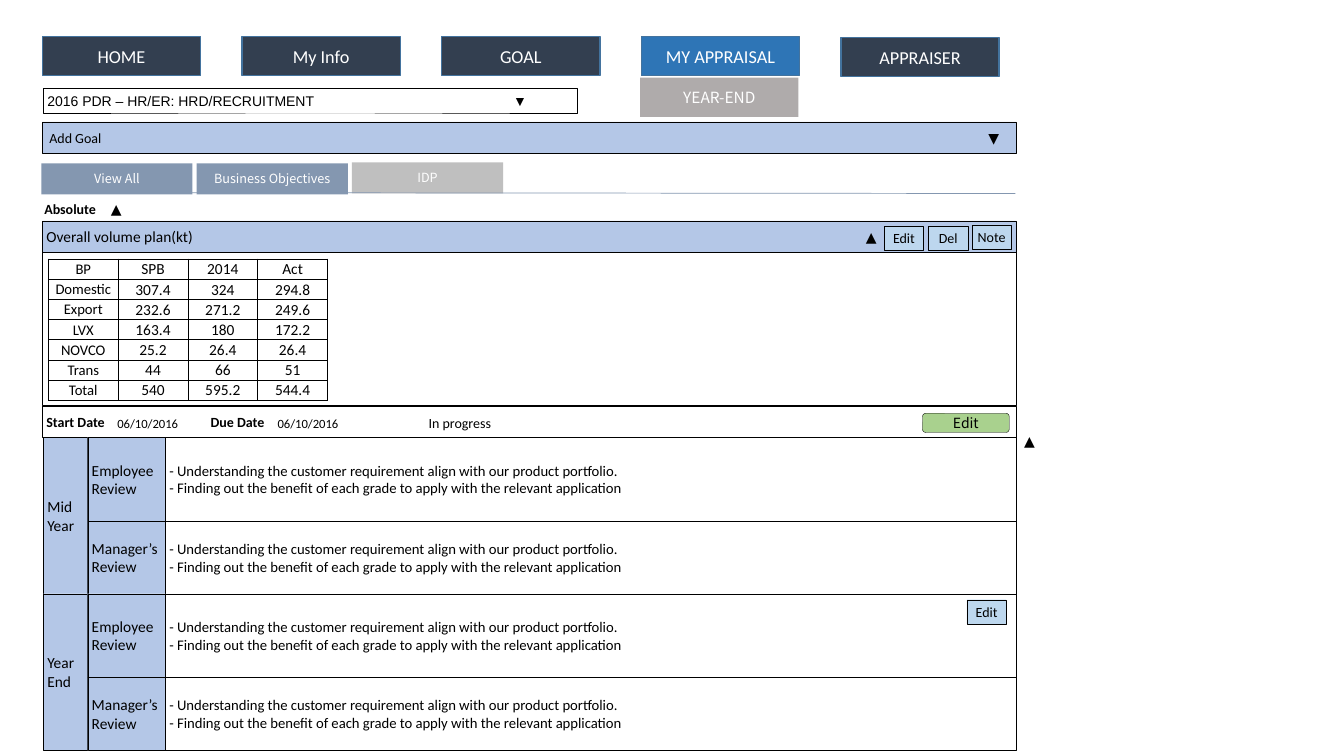
from lxml import etree
from pptx import Presentation
from pptx.dml.color import RGBColor
from pptx.enum import shapes, text
from pptx.oxml import ns
from pptx.util import Inches, Pt

COLORS = dict(navy="333F50", blue="2E75B6", edge="43739E", gray="AFABAB", pale="B4C7E7",
              sky="BDD7EE", green="A9D18E", slate="8497B0", silver="BFBFBF",
              black="000000", white="FFFFFF")
NOTO = "Noto Sans CJK KR"

NAV = ["HOME", "My Info", "GOAL", "MY APPRAISAL", "APPRAISER"]
ACTIVE = "MY APPRAISAL"
TABS = [("View All", "slate", 1.62), ("Business Objectives", "slate", 1.62), ("IDP", "silver", 1.61)]
VOLUMES = [
    ("BP", "SPB", "2014", "Act"),
    ("Domestic", "307.4", "324", "294.8"),
    ("Export", "232.6", "271.2", "249.6"),
    ("LVX", "163.4", "180", "172.2"),
    ("NOVCO", "25.2", "26.4", "26.4"),
    ("Trans", "44", "66", "51"),
    ("Total", "540", "595.2", "544.4"),
]
BUTTONS = [("Edit", 8.77, 2.24), ("Del", 9.21, 2.24), ("Note", 9.64, 2.23), ("Edit", 9.59, 5.95)]
DATES = [("06/10/2016", 1.09), ("06/10/2016", 2.68)]
ARROWS = [("▼", 9.855, 1.23), ("▲", 8.64, 2.22), ("▲", 10.21, 4.24)]
PERIODS = ["Mid\nYear", "Year\nEnd"]
REVIEWS = [("Employee\nReview", 0.83), ("Manager’s\nReview", 0.72)]
COMMENTS = [
    "- Understanding the customer requirement align with our product portfolio.",
    "- Finding out the benefit of each grade to apply with the relevant application",
]

LEFT, WIDTH, BAR = 0.42, 9.66, 0.31
REVIEW_TOP = 4.34
CENTER, START = text.PP_ALIGN.CENTER, text.PP_ALIGN.LEFT

prs = Presentation()
prs.slide_width, prs.slide_height = Inches(13.33), Inches(7.5)
s = prs.slides.add_slide(prs.slide_layouts[6])


def rgb(name):
    return RGBColor.from_string(COLORS[name])


def write(p, words, align=START, tab=None, **font):
    p.alignment = align
    if tab:
        tabs = etree.SubElement(p._p.get_or_add_pPr(), ns.qn("a:tabLst"))
        etree.SubElement(tabs, ns.qn("a:tab"), pos=str(Inches(tab)), algn="l")
    p.text = words
    color = font.pop("color", "black")
    for r in p.runs:
        r.font.color.rgb = rgb(color)
        for key, value in {"name": "Calibri", "size": Pt(10), **font}.items():
            setattr(r.font, key, value)


def fill_frame(tf, lines, inset=0.04, wrap=True, **style):
    tf.word_wrap = wrap
    tf.vertical_anchor = text.MSO_ANCHOR.MIDDLE
    for side in ("left", "right", "top", "bottom"):
        setattr(tf, f"margin_{side}", Inches(inset))
    for i, line in enumerate(lines):
        write(tf.add_paragraph() if i else tf.paragraphs[0], line, **style)


def box(x, y, w, h, *lines, fill=None, line="black", weight=0.25,
        kind=shapes.MSO_SHAPE.RECTANGLE, **style):
    sp = s.shapes.add_shape(kind, *map(Inches, (x, y, w, h)))
    sp.shadow.inherit = False
    if fill:
        sp.fill.solid()
        sp.fill.fore_color.rgb = rgb(fill)
    else:
        sp.fill.background()
    if line:
        sp.line.color.rgb = rgb(line)
        sp.line.width = Pt(weight)
    else:
        sp.line.fill.background()
    fill_frame(sp.text_frame, lines, **style)
    return sp


def label(x, y, w, h, words, **style):
    sp = s.shapes.add_textbox(*map(Inches, (x, y, w, h)))
    fill_frame(sp.text_frame, [words], **style)


def outline(cell):
    """Give a table cell thin black borders on all sides."""
    tcPr = cell._tc.get_or_add_tcPr()
    for i, side in enumerate(("lnL", "lnR", "lnT", "lnB")):
        ln = etree.Element(ns.qn(f"a:{side}"), w=str(Pt(0.5)))
        paint = etree.SubElement(ln, ns.qn("a:solidFill"))
        etree.SubElement(paint, ns.qn("a:srgbClr"), val=COLORS["black"])
        tcPr.insert(i, ln)


# Navigation and goal bars
for i, name in enumerate(NAV):
    box(LEFT + 1.98 * i, 0.37 if name == "APPRAISER" else 0.36, 1.57, 0.39, name,
        fill="blue" if name == ACTIVE else "navy", line="edge", weight=1,
        align=CENTER, color="white", size=Pt(13))
box(6.35, 0.77, 1.57, 0.39, "YEAR-END", fill="gray", line=None,
    align=CENTER, color="white", size=Pt(11), name=NOTO)
box(0.43, 0.88, 5.29, 0.24, "2016 PDR – HR/ER: HRD/RECRUITMENT\t▼", tab=4.62, name="Arial")
add_goal = box(LEFT, 1.21, WIDTH, BAR, "Add Goal", fill="pale")
add_goal.text_frame.margin_left = Inches(0.07)

# Tabs
for i, (name, fill, y) in enumerate(TABS):
    box(0.41 + 1.54 * i, y, 1.5, BAR, name, fill=fill, line=None,
        align=CENTER, color="white", size=Pt(9), name=NOTO)
rule = s.shapes.add_connector(shapes.MSO_CONNECTOR.STRAIGHT,
                              *map(Inches, (LEFT, 1.91, 10.07, 1.92)))
rule.line.color.rgb = rgb("slate")
rule.line.width = Pt(0.5)
etree.SubElement(rule._element.spPr, ns.qn("a:effectLst"))

# Volume plan
label(LEFT, 1.97, 1.66, 0.21, "Absolute\t▲", inset=0.02, tab=0.66, bold=True)
box(LEFT, 2.49, WIDTH, 1.53)
box(LEFT, 2.19, WIDTH, BAR, "Overall volume plan(kt)", fill="pale", size=Pt(11))
box(LEFT, 4.03, WIDTH, BAR, "Start Date\tDue Date", tab=1.63, bold=True)

frame = s.shapes.add_table(len(VOLUMES), len(VOLUMES[0]),
                           *map(Inches, (0.48, 2.57, 2.77, 1.4)))
table = frame.table
table.first_row = table.horz_banding = False
for row, values in zip(table.rows, VOLUMES):
    row.height = Inches(0.2)
    for i, (cell, value) in enumerate(zip(row.cells, values)):
        cell.fill.background()
        cell.vertical_anchor = text.MSO_ANCHOR.MIDDLE
        cell.margin_left = cell.margin_right = cell.margin_top = Inches(0.01)
        cell.margin_bottom = 0
        write(cell.text_frame.paragraphs[0], value, CENTER, size=Pt(11 if i else 10.5))
        outline(cell)

for words, x in DATES:
    label(x, 4.12, 0.75, 0.16, words, align=CENTER, size=Pt(9))
box(4.07, 4.12, 0.98, 0.16, "In progress", fill="white", line=None, align=CENTER)
box(9.15, 4.1, 0.86, 0.19, "Edit", fill="green", inset=0, align=CENTER, name=NOTO,
    kind=shapes.MSO_SHAPE.ROUNDED_RECTANGLE)

# Reviews
y = REVIEW_TOP
for period in PERIODS:
    box(0.43, y, 0.44, sum(h for _, h in REVIEWS), period, fill="pale", size=Pt(11))
    for reviewer, h in REVIEWS:
        box(0.87, y, 0.77, h, reviewer, fill="pale", size=Pt(11))
        box(1.64, y, 8.44, h, *COMMENTS, size=Pt(10.5))
        y += h

# Buttons and arrows
for words, x, top in BUTTONS:
    box(x, top, 0.39, 0.24, words, fill="sky", align=CENTER)
for mark, center, top in ARROWS:
    label(center - 0.12, top, 0.24, 0.27, mark, inset=0, align=CENTER)

prs.save("out.pptx")
